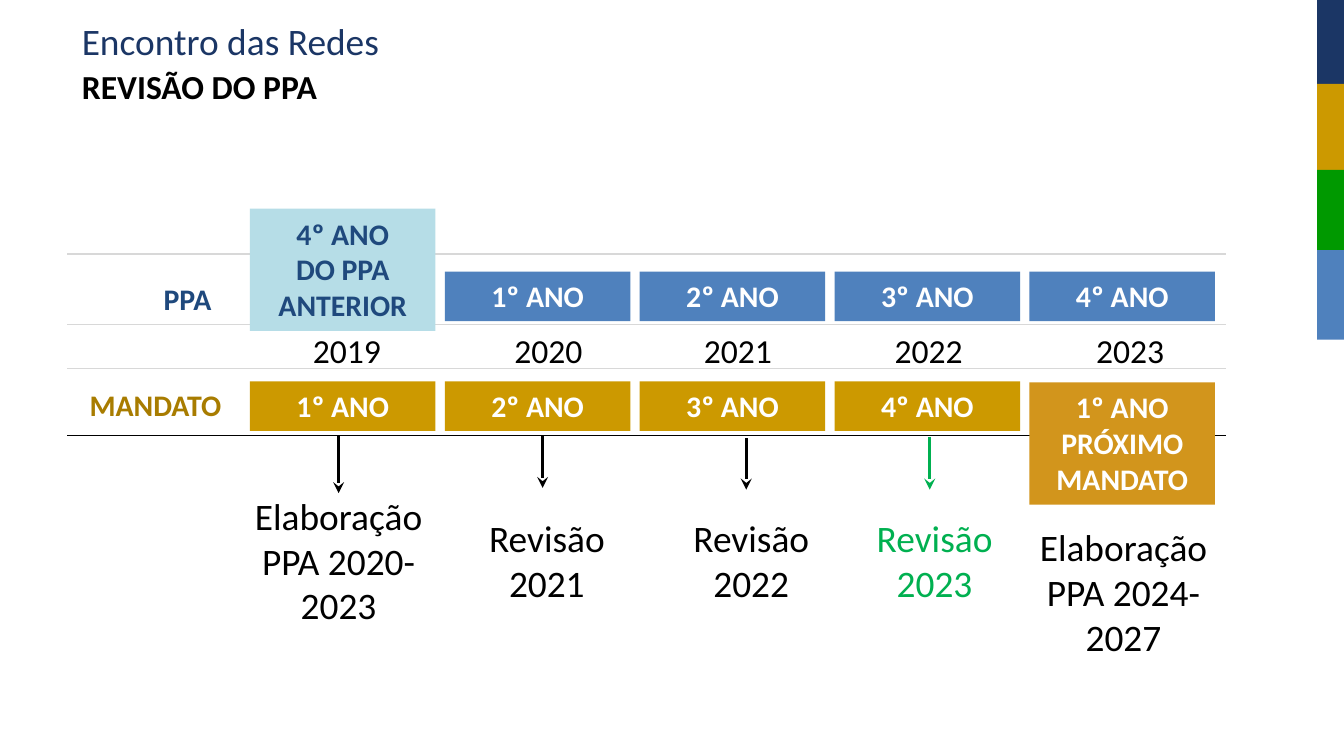
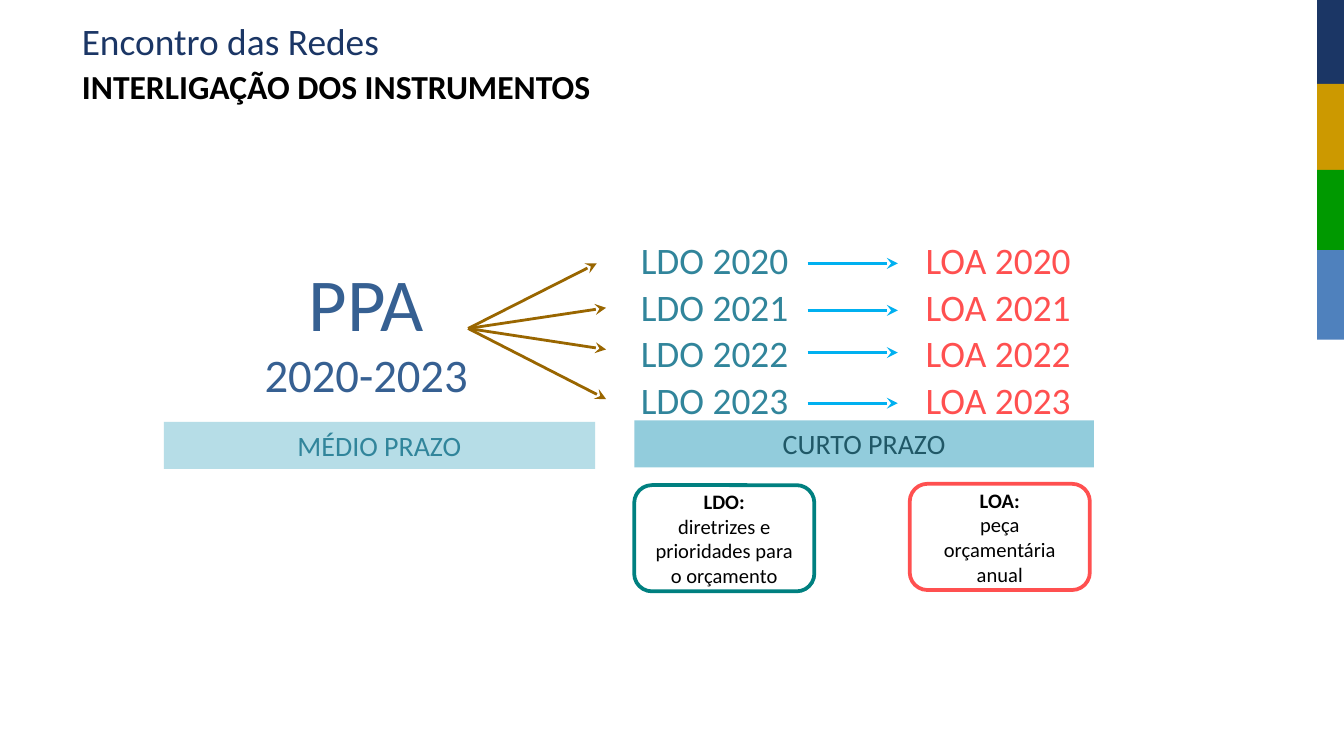
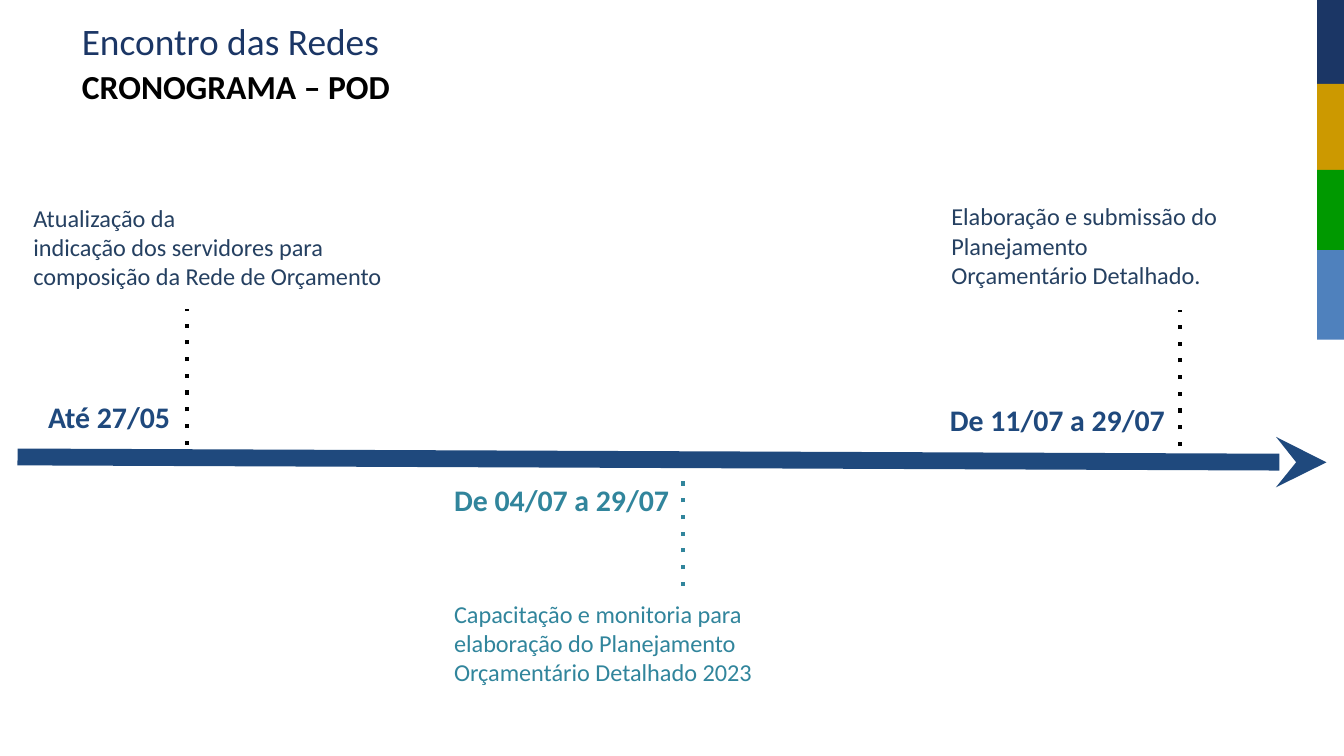
from lxml.etree import SubElement
from pptx import Presentation
from pptx.dml.color import RGBColor
from pptx.enum.shapes import MSO_CONNECTOR, MSO_SHAPE
from pptx.enum.text import MSO_ANCHOR, PP_ALIGN
from pptx.oxml.ns import qn
from pptx.util import Pt

FONT = "Calibri"
COLOURS = {
    "navy": "1B3665", "gold": "CC9900", "green": "009900", "blue": "4F81BD",
    "black": "000000", "white": "FFFFFF", "grid": "D8D8D8", "deep blue": "1F497D",
    "dark gold": "A87C00", "amber": "D2951C", "pale blue": "B6DDE7",
    "bright green": "00B050", "steel": "366092", "teal": "31859B", "red": "FF5050",
    "brown": "996600", "cyan": "00B0F0", "sky": "92CCDC", "petrol": "205867",
    "dark teal": "008080", "ink": "254061", "sea": "31859C",
}
COLOURS = {name: RGBColor.from_string(value) for name, value in COLOURS.items()}


def add_box(page, area, paragraphs=(), kind=None, fill=None, outline=None, align=PP_ALIGN.CENTER,
            anchor=MSO_ANCHOR.TOP, inset=3.6):
    """Each paragraph is (text, size, colour, bold); without a kind the box is a plain text box."""
    area = [Pt(length) for length in area]
    if kind is None:
        box = page.shapes.add_textbox(*area)
    else:
        box = page.shapes.add_shape(kind, *area)
        box.shadow.inherit = False
        if fill:
            box.fill.solid()
            box.fill.fore_color.rgb = COLOURS[fill]
        else:
            box.fill.background()
        if outline:
            box.line.color.rgb = COLOURS[outline]
            box.line.width = Pt(2)
        else:
            box.line.fill.background()
    frame = box.text_frame
    frame.word_wrap = True
    frame.vertical_anchor = anchor
    frame.margin_left = frame.margin_right = Pt(7.2)
    frame.margin_top = frame.margin_bottom = Pt(inset)
    for number, (text, size, colour, bold) in enumerate(paragraphs):
        para = frame.add_paragraph() if number else frame.paragraphs[0]
        para.alignment = align
        for row, words in enumerate(text.split("\n")):
            if row:
                para.add_line_break()
            span = para.add_run()
            span.text = words
            span.font.name = FONT
            span.font.size = Pt(size)
            span.font.bold = bold
            span.font.color.rgb = COLOURS[colour]
    return box


def add_line(page, start, end, colour, width, arrow=False, dotted=False):
    line = page.shapes.add_connector(MSO_CONNECTOR.STRAIGHT, *[Pt(value) for value in (*start, *end)])
    line.line.color.rgb = COLOURS[colour]
    line.line.width = Pt(width)
    properties = line._element.spPr
    stroke = properties.find(qn("a:ln"))
    if dotted:
        SubElement(stroke, qn("a:prstDash"), val="dot")
    if arrow:
        SubElement(stroke, qn("a:tailEnd"), type="stealth")
    SubElement(properties, qn("a:effectLst"))


deck = Presentation()
deck.slide_width, deck.slide_height = Pt(720), Pt(405)

# Shared on every slide: coloured side bars, event name and title
pages = []
for heading in ("REVISÃO DO PPA", "INTERLIGAÇÃO DOS INSTRUMENTOS", "CRONOGRAMA – POD"):
    page = deck.slides.add_slide(deck.slide_layouts[5])
    for colour, top, height in (("navy", 0, 52), ("gold", 45, 52), ("green", 91, 52), ("blue", 134, 48)):
        add_box(page, (705.6, top, 14.4, height), kind=MSO_SHAPE.RECTANGLE, fill=colour)
    add_box(page, (36.7, 5.8, 578, 31.5), [("Encontro das Redes", 20, "navy", False)],
            align=PP_ALIGN.LEFT, anchor=MSO_ANCHOR.BOTTOM)
    title = page.shapes.title
    title.left, title.top, title.width, title.height = Pt(36.7), Pt(31.7), Pt(556), Pt(29)
    title.text_frame.vertical_anchor = MSO_ANCHOR.TOP
    para = title.text_frame.paragraphs[0]
    para.alignment = PP_ALIGN.LEFT
    span = para.add_run()
    span.text = heading
    span.font.name, span.font.size, span.font.bold = FONT, Pt(18), True
    span.font.color.rgb = COLOURS["black"]
    pages.append(page)
revision, instruments, schedule = pages

# Slide 1: horizontal rules and row labels
for height, colour in ((136, "grid"), (173.7, "grid"), (197.3, "grid"), (233.3, "black")):
    add_line(revision, (36, height), (656.6, height), colour, 0.75)
add_box(revision, (80.6, 147, 51, 26.6), [("PPA", 16, "deep blue", True)], align=PP_ALIGN.LEFT)
add_box(revision, (41, 203.8, 90.7, 26.6), [("MANDATO", 16, "dark gold", True)], align=PP_ALIGN.LEFT)

# Slide 1: the four years of each cycle, the mandate one column ahead of the plan
first_column, column_step, cell_width = 133.9, 104.4, 99.4
for year in range(4):
    label = [(f"{year + 1}º ANO", 16, "white", True)]
    left = first_column + year * column_step
    add_box(revision, (left + column_step, 145.5, cell_width, 26.6), label, MSO_SHAPE.RECTANGLE, "blue")
    add_box(revision, (left, 204.3, cell_width, 26.6), label, MSO_SHAPE.RECTANGLE, "gold")
add_box(revision, (first_column, 111.8, cell_width, 65.5),
        [("4º ANO", 16, "deep blue", True), ("DO PPA ANTERIOR", 16, "deep blue", True)],
        MSO_SHAPE.RECTANGLE, "pale blue")
add_box(revision, (first_column + 4 * column_step, 204.8, cell_width, 65.5),
        [("1º ANO PRÓXIMO MANDATO", 16, "white", True)], MSO_SHAPE.RECTANGLE, "amber")

# Slide 1: calendar years
for number, left in enumerate((131.8, 239.8, 341.3, 443.5, 551.5)):
    add_box(revision, (left, 173.3, 108, 28.8), [(str(2019 + number), 18, "black", False)])

# Slide 1: what is done in each year
for text, left, top, width, height, colour in (
    ("Elaboração PPA 2020-2023", 115.9, 260.6, 131, 80, "black"),
    ("Revisão 2021", 234.7, 272.5, 116.6, 55.4, "black"),
    ("Revisão 2022", 344.2, 272.5, 116.6, 55.4, "black"),
    ("Revisão 2023", 442.4, 272.5, 116.6, 55.4, "bright green"),
    ("Elaboração PPA 2024-2027", 536.4, 277.5, 131, 80, "black"),
):
    add_box(revision, (left, top, width, height), [(text, 20, colour, False)])
for across, top, bottom, colour in ((181.4, 233.3, 264.2, "black"), (290.7, 233.3, 261.4, "black"),
                                    (399.8, 234.7, 262.3, "black"), (498.1, 234, 262.3, "bright green")):
    add_line(revision, (across, top), (across, bottom), colour, 1.75, arrow=True)

# Slide 2: plan feeding the yearly laws
plan = add_box(instruments, (113, 141.1, 166.3, 70.6),
               [("PPA", 40, "steel", False), ("2020-2023", 25, "steel", False)],
               MSO_SHAPE.ROUND_1_RECTANGLE, anchor=MSO_ANCHOR.MIDDLE)
plan.adjustments[0] = 0
for law, left, colour in (("LDO", 323.3, "teal"), ("LOA", 475.2, "red")):
    for row in range(4):
        add_box(instruments, (left, 128.6 + 25 * row, 120.2, 20.9),
                [(f"{law} {2020 + row}", 20, colour, False)],
                MSO_SHAPE.ROUND_1_RECTANGLE, anchor=MSO_ANCHOR.MIDDLE)
for end in ((319.7, 141.1), (324.7, 164.9), (324.7, 187.2), (324.7, 213.8)):
    add_line(instruments, (250.8, 176), end, "brown", 1.5, arrow=True)
for height in (141.1, 166.3, 188.9, 216):
    add_line(instruments, (432.7, height), (481, height), "cyan", 1.5, arrow=True)

# Slide 2: term bands and definitions
for text, left, top, width, fill, colour in (("MÉDIO PRAZO", 87.8, 226, 231, "pale blue", "teal"),
                                             ("CURTO PRAZO", 339.8, 225.2, 246.2, "sky", "petrol")):
    add_box(instruments, (left, top, width, 25.2), [(text, 15, colour, False)], MSO_SHAPE.RECTANGLE, fill)
for law, meaning, left, top, outline in (
    ("LDO:", "diretrizes e prioridades para o orçamento", 339.8, 259.9, "dark teal"),
    ("LOA:", "peça orçamentária anual", 487.4, 259.2, "red"),
):
    add_box(instruments, (left, top, 96.5, 56.9), [(law, 11, "black", True), (meaning, 11, "black", False)],
            MSO_SHAPE.ROUNDED_RECTANGLE, "white", outline, anchor=MSO_ANCHOR.MIDDLE)

# Slide 3: time axis, then each stage with its date and dotted marker
add_line(schedule, (9.4, 244.8), (710.6, 247.7), "deep blue", 9, arrow=True)
for text, text_area, date, date_area, text_colour, date_colour, marker_colour, across, start, end in (
    ("Atualização da\nindicação dos servidores para composição da Rede de Orçamento", (10.8, 101.5, 207.4, 62),
     "Até 27/05", (18.7, 206.6, 84.2, 33.8), "ink", "deep blue", "black", 100.1, 238.3, 165.6),
    ("Capacitação e monitoria para elaboração do Planejamento Orçamentário Detalhado 2023",
     (236.2, 313.9, 182.2, 62), "De 04/07 a 29/07", (236.2, 250.6, 134, 33.8),
     "sea", "sea", "sea", 365.8, 313.9, 256.3),
    ("Elaboração e submissão do Planejamento Orçamentário Detalhado.", (502.6, 100.8, 160.6, 62),
     "De 11/07 a 29/07", (501.8, 208.1, 134, 33.8), "ink", "deep blue", "black", 632.2, 239, 166.3),
):
    add_box(schedule, text_area, [(text, 13, text_colour, False)], align=PP_ALIGN.LEFT, inset=7.2)
    add_box(schedule, date_area, [(date, 16, date_colour, True)], align=PP_ALIGN.LEFT, inset=7.2)
    add_line(schedule, (across, start), (across, end), marker_colour, 2.25, dotted=True)

deck.save("out.pptx")
